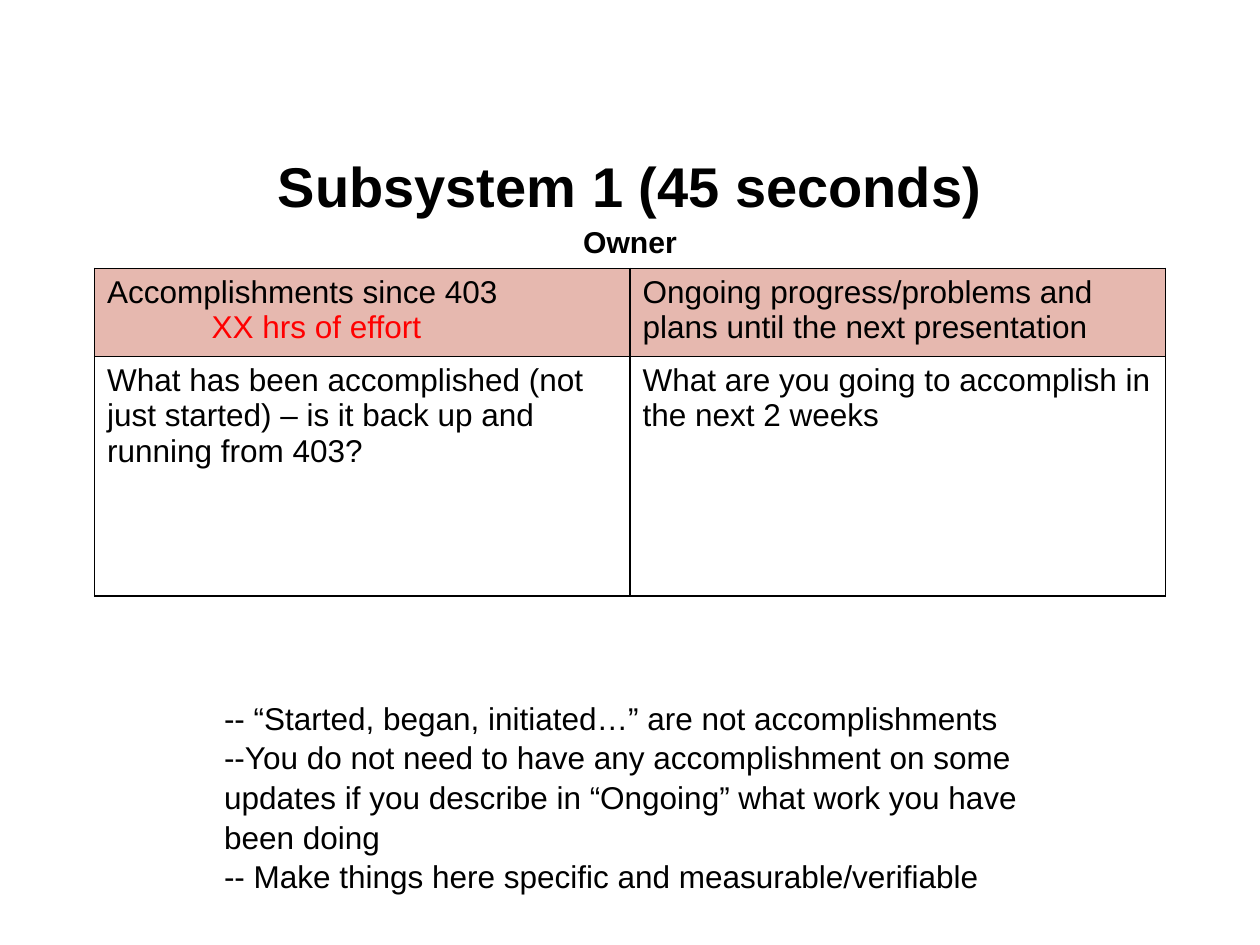
from lxml.etree import SubElement
from pptx import Presentation
from pptx.dml.color import RGBColor
from pptx.enum.text import MSO_ANCHOR, PP_ALIGN
from pptx.oxml.ns import qn
from pptx.util import Inches, Pt

COLORS = {"text": "000000", "effort": "FF0000", "header": "E6B8AF",
          "body": "FFFFFF", "border": "000000"}
FONT = "Arial"
BODY_SIZE = 18


def style_para(para, size=BODY_SIZE, color="text", bold=False):
    for span in para.runs:
        font = span.font
        font.name, font.size, font.bold = FONT, Pt(size), bold
        font.color.rgb = RGBColor.from_string(COLORS[color])


def add_text(page, box, lines, anchor=MSO_ANCHOR.TOP):
    """Add a wrapped text box with one paragraph per line and return its paragraphs."""
    frame = page.shapes.add_textbox(*map(Inches, box)).text_frame
    frame.word_wrap = True
    frame.vertical_anchor = anchor
    frame.text = "\n".join(lines)
    return frame.paragraphs


def add_title(page, box):
    lines = ["Subsystem 1 (45 seconds)", "Owner"]
    paras = add_text(page, box, lines, MSO_ANCHOR.MIDDLE)
    for para, size in zip(paras, (32, 17.2)):
        para.alignment = PP_ALIGN.CENTER
        para.line_spacing = 1.15
        style_para(para, size, bold=True)


def set_borders(cell, width=1):
    properties = cell._tc.get_or_add_tcPr()
    for position, side in enumerate(("a:lnL", "a:lnR", "a:lnT", "a:lnB")):
        line = SubElement(properties, qn(side), w=str(Pt(width)))
        fill = SubElement(line, qn("a:solidFill"))
        SubElement(fill, qn("a:srgbClr"), val=COLORS["border"])
        properties.insert(position, line)


def add_status_table(page, box):
    rows = [
        ["Accomplishments since 403\nXX hrs of effort",
         "Ongoing progress/problems and plans until the next presentation"],
        ["What has been accomplished (not just started) – is it back up and "
         "running from 403?",
         "What are you going to accomplish in the next 2 weeks"],
    ]
    table = page.shapes.add_table(2, 2, *map(Inches, box)).table
    for column in table.columns:
        column.width = Inches(box[2] / 2)
    for row, height in zip(table.rows, (0.7, 1.9)):
        row.height = Inches(height)
    for row, texts, fill in zip(table.rows, rows, ("header", "body")):
        for cell, text in zip(row.cells, texts):
            cell.text = text
            cell.fill.solid()
            cell.fill.fore_color.rgb = RGBColor.from_string(COLORS[fill])
            set_borders(cell)
            for para in cell.text_frame.paragraphs:
                style_para(para)

    effort = table.cell(0, 0).text_frame.paragraphs[1]
    effort._p.get_or_add_pPr().set("marL", str(Inches(0.83)))
    style_para(effort, color="effort")


def add_advice(page, box):
    lines = [
        "-- “Started, began, initiated…” are not accomplishments",
        "--You do not need to have any accomplishment on some updates if you "
        "describe in “Ongoing” what work you have been doing",
        "-- Make things here specific and measurable/verifiable",
    ]
    for para in add_text(page, box, lines):
        para.line_spacing = 1.05
        style_para(para)


def main():
    deck = Presentation()
    deck.slide_width, deck.slide_height = Inches(10), Inches(7.5)
    page = deck.slides.add_slide(deck.slide_layouts[6])
    add_title(page, (0.5, 1.15, 9, 0.88))
    add_status_table(page, (0.75, 2.13, 8.5, 2.6))
    add_advice(page, (1.68, 5.48, 6.94, 1.62))
    deck.save("out.pptx")


if __name__ == "__main__":
    main()
